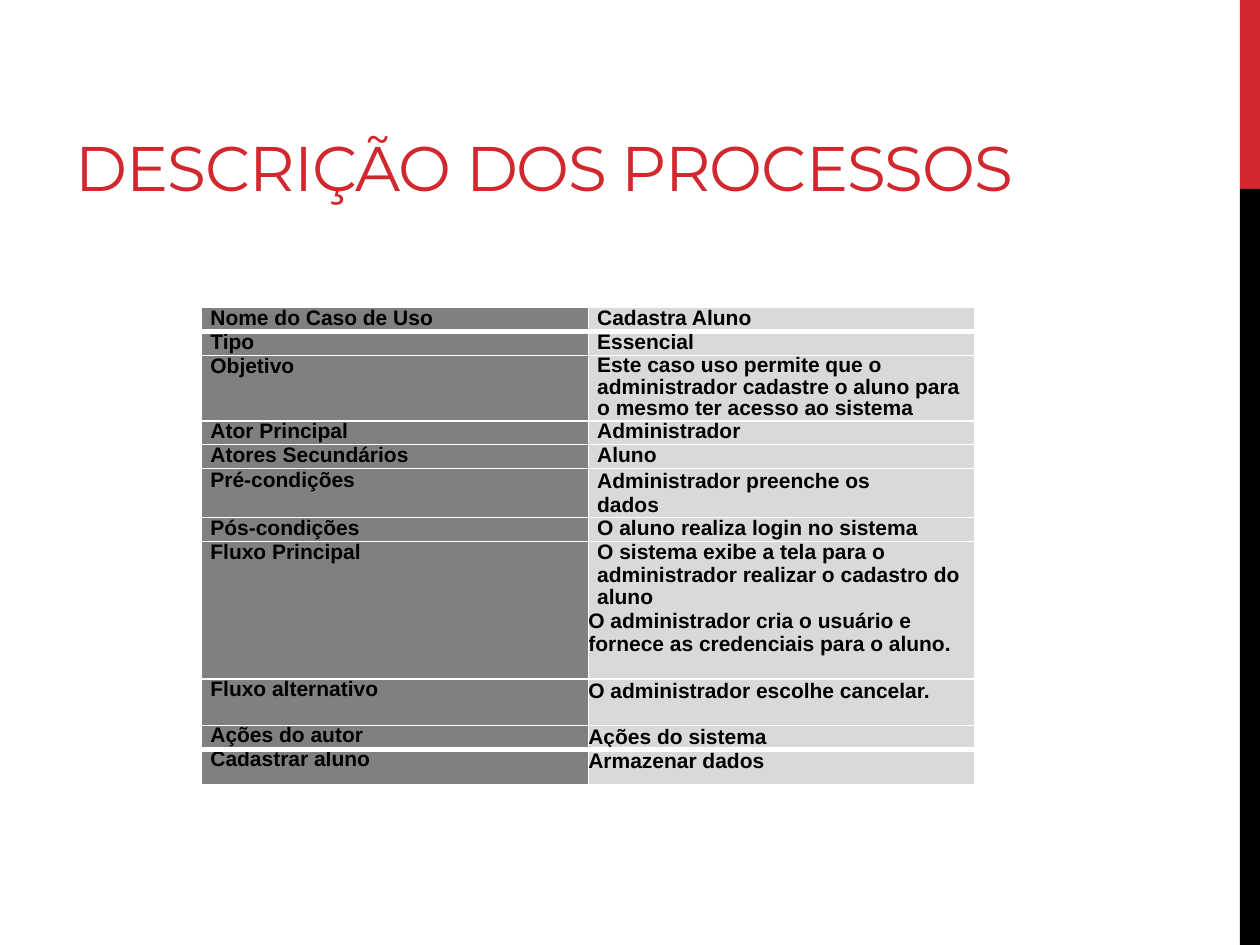
import pptx
import pptx.dml.color
import pptx.enum.shapes
import pptx.enum.text
import pptx.oxml
import pptx.oxml.ns
import pptx.util
from lxml import etree

RED = pptx.dml.color.RGBColor(0xD1, 0x28, 0x2E)
BLACK = pptx.dml.color.RGBColor(0, 0, 0)
WHITE = pptx.dml.color.RGBColor(0xFF, 0xFF, 0xFF)
DARK_GRAY = pptx.dml.color.RGBColor(0x80, 0x80, 0x80)
LIGHT_GRAY = pptx.dml.color.RGBColor(0xD9, 0xD9, 0xD9)
INDENT = pptx.util.Inches(0.07)

# Each row: height in inches, label, label line spacing,
# then the value paragraphs as (text, left indent, line spacing in points).
ROWS = [
    (0.19, "Nome do Caso de Uso", 12.9, [("Cadastra Aluno", INDENT, 12.9)]),
    (0.19, "Tipo", 12.9, [("Essencial", INDENT, 12.9)]),
    (0.52, "Objetivo", 12.8, [
        ("Este caso uso permite que o administrador cadastre o aluno para "
         "o mesmo ter acesso ao sistema", INDENT, 12.4)]),
    (0.19, "Ator Principal", 12.8, [("Administrador", INDENT, 12.8)]),
    (0.19, "Atores Secundários", 12.8, [("Aluno", INDENT, 12.8)]),
    (0.39, "Pré-condições", 13.6, [("Administrador preenche os dados", INDENT, 13.8)]),
    (0.19, "Pós-condições", 12.8, [("O aluno realiza login no sistema", INDENT, 12.8)]),
    (1.09, "Fluxo Principal", 12.9, [
        ("O sistema exibe a tela para o administrador realizar o cadastro do aluno",
         INDENT, 12.9),
        ("O administrador cria o usuário e fornece as credenciais para o aluno.", 0, None)]),
    (0.37, "Fluxo alternativo", 12.4, [("O administrador escolhe cancelar.", 0, None)]),
    (0.19, "Ações do autor", 12.4, [("Ações do sistema", 0, None)]),
    (0.28, "Cadastrar aluno", 12.4, [("Armazenar dados", 0, None)]),
]
PRECONDITIONS_ROW = 5


def set_borders(cell, top, bottom):
    """Draw white cell borders; top and bottom are widths in points."""
    properties = cell._tc.get_or_add_tcPr()
    widths = (("a:lnL", 1), ("a:lnR", 1), ("a:lnT", top), ("a:lnB", bottom))
    for position, (tag, width) in enumerate(widths):
        line = etree.Element(pptx.oxml.ns.qn(tag), w=str(pptx.util.Pt(width)))
        fill = etree.SubElement(line, pptx.oxml.ns.qn("a:solidFill"))
        etree.SubElement(fill, pptx.oxml.ns.qn("a:srgbClr"), val=str(WHITE))
        properties.insert(position, line)


def fill_cell(cell, paragraphs, color):
    cell.fill.solid()
    cell.fill.fore_color.rgb = color
    cell.margin_left = cell.margin_right = cell.margin_top = cell.margin_bottom = 0
    for index, (text, indent, spacing) in enumerate(paragraphs):
        frame = cell.text_frame
        paragraph = frame.add_paragraph() if index else frame.paragraphs[0]
        paragraph.text = text
        paragraph._p.get_or_add_pPr().set("marL", str(indent))
        if spacing:
            paragraph.line_spacing = pptx.util.Pt(spacing)
        paragraph.font.name = "Arial"
        paragraph.font.size = pptx.util.Pt(12)
        paragraph.font.bold = True
        paragraph.font.color.rgb = BLACK


presentation = pptx.Presentation()
presentation.slide_width = pptx.util.Inches(10)
presentation.slide_height = pptx.util.Inches(7.5)
slide = presentation.slides.add_slide(presentation.slide_layouts[5])

# Side band: red over the top fifth, black below
band_left = pptx.util.Inches(9.84)
band_width = presentation.slide_width - band_left
for start, share, color in ((0, 0.2, RED), (0.2, 0.8, BLACK)):
    band = slide.shapes.add_shape(
        pptx.enum.shapes.MSO_SHAPE.RECTANGLE,
        band_left, int(start * presentation.slide_height),
        band_width, int(share * presentation.slide_height))
    band.shadow.inherit = False
    band.fill.solid()
    band.fill.fore_color.rgb = color
    band.line.fill.background()

title = slide.shapes.title
title.left, title.top = pptx.util.Inches(0.5), pptx.util.Inches(0.17)
title.width, title.height = pptx.util.Inches(8.91), pptx.util.Inches(1.5)
title.text_frame.text = "DESCRIÇÃO DOS PROCESSOS"
title.text_frame.word_wrap = True
title.text_frame.auto_size = pptx.enum.text.MSO_AUTO_SIZE.NONE
title.text_frame.vertical_anchor = pptx.enum.text.MSO_ANCHOR.BOTTOM
heading = title.text_frame.paragraphs[0]
heading.alignment = pptx.enum.text.PP_ALIGN.LEFT
heading.font.name = "Montserrat"
heading.font.size = pptx.util.Pt(36)
heading.font.color.rgb = RED
heading.runs[0].font._element.set("spc", "-60")

table = slide.shapes.add_table(
    len(ROWS), 2, pptx.util.Inches(1.6), pptx.util.Inches(2.44),
    pptx.util.Inches(6.14), pptx.util.Inches(sum(row[0] for row in ROWS))).table
last = len(ROWS) - 1
for index, (height, label, label_spacing, values) in enumerate(ROWS):
    table.rows[index].height = pptx.util.Inches(height)
    label_cell, value_cell = table.cell(index, 0), table.cell(index, 1)
    fill_cell(label_cell, [(label, INDENT, label_spacing)], DARK_GRAY)
    fill_cell(value_cell, values, LIGHT_GRAY)
    for cell in (label_cell, value_cell):
        set_borders(cell, top=3 if index in (1, last) else 1,
                    bottom=3 if index in (0, last - 1) else 1)
table.cell(PRECONDITIONS_ROW, 1).margin_right = pptx.util.Inches(0.4)

presentation.save("out.pptx")
